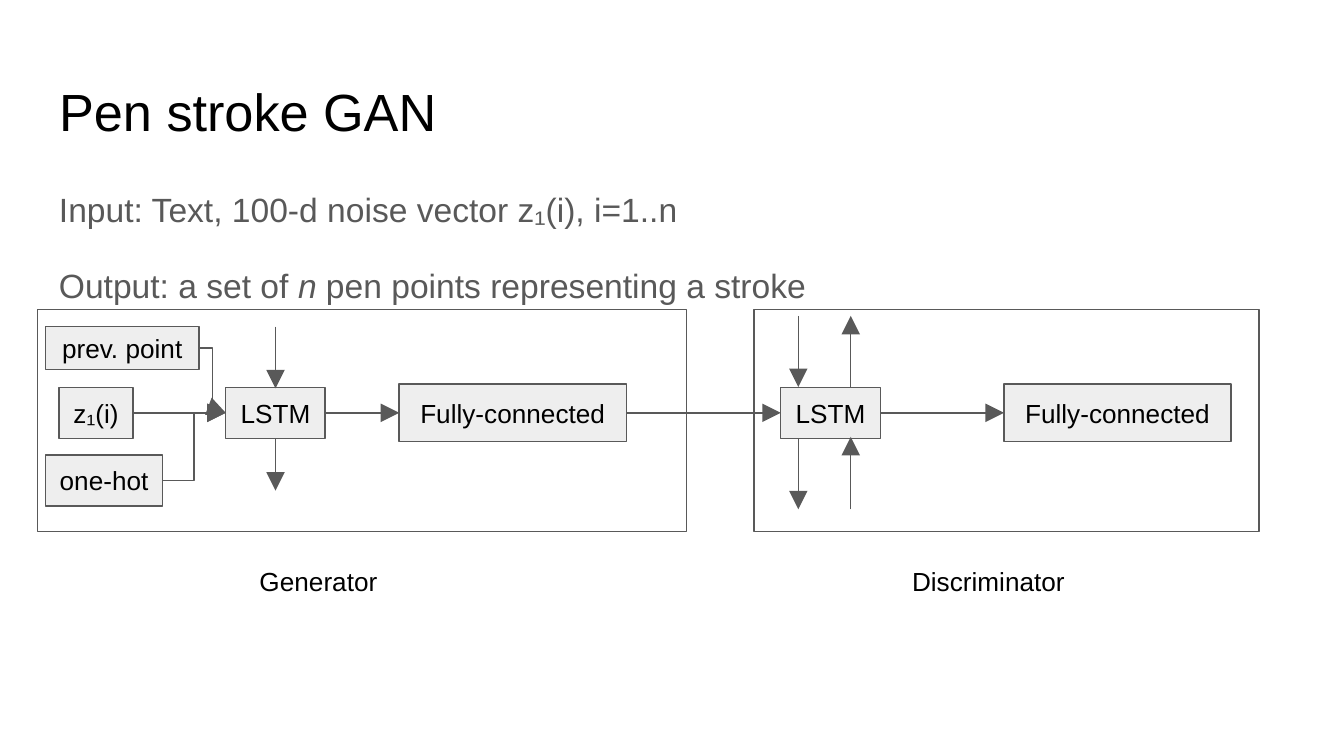
import pptx
import pptx.dml.color
import pptx.enum.shapes
import pptx.enum.text
import pptx.util
import lxml.etree
import pptx.oxml.ns

presentation = pptx.Presentation()
presentation.slide_width = pptx.util.Inches(10)
presentation.slide_height = presentation.slide_width * 9 // 16
cell = presentation.slide_width / 100
slide = presentation.slides.add_slide(presentation.slide_layouts[5])


def cells(*counts):
    return [round(count * cell) for count in counts]


def set_text(shape, lines, size, color, align, anchor):
    frame = shape.text_frame
    frame.word_wrap = True
    frame.auto_size = pptx.enum.text.MSO_AUTO_SIZE.NONE
    frame.vertical_anchor = anchor
    frame.margin_left = frame.margin_right = frame.margin_top = frame.margin_bottom = round(cell)
    frame.text = "\n".join(lines)
    for paragraph in frame.paragraphs:
        paragraph.alignment = align
        paragraph.font.name = "Arial"
        paragraph.font.size = pptx.util.Pt(size)
        paragraph.font.color.rgb = pptx.dml.color.RGBColor.from_string(color)


black, gray, light = "000000", "595959", "EEEEEE"
left, center = pptx.enum.text.PP_ALIGN.LEFT, pptx.enum.text.PP_ALIGN.CENTER
top, middle = pptx.enum.text.MSO_ANCHOR.TOP, pptx.enum.text.MSO_ANCHOR.MIDDLE

title = slide.shapes.title
title.left, title.top, title.width, title.height = cells(3.4, 4.9, 93.2, 6.3)
set_text(title, ["Pen stroke GAN"], 28, black, left, top)

body = slide.shapes.add_textbox(*cells(3.4, 12.6, 93.2, 10.5))
set_text(body, ["Input: Text, 100-d noise vector z₁(i), i=1..n", "Output: a set of "], 18, gray, left, top)
output = body.text_frame.paragraphs[1]
variable = output.add_run()
variable.text = "n"
variable.font.italic = True
output.add_run().text = " pen points representing a stroke"
for paragraph in body.text_frame.paragraphs:
    paragraph.line_spacing = 1.15
    paragraph.space_after = pptx.util.Pt(16)

axis = 30.72
boxes = [
    ("", 2.8, 31.3, 48.3, 16.5),
    ("", 56.1, 31.3, 37.6, 16.5),
    ("prev. point", 3.4, 25.9, 11.4, 3.2),
    ("z₁(i)", 4.4, axis, 5.5, 3.8),
    ("one-hot", 3.4, 35.75, 8.7, 3.8),
    ("LSTM", 16.8, axis, 7.4, 3.8),
    ("Fully-connected", 29.7, axis, 16.9, 4.3),
    ("LSTM", 58.1, axis, 7.4, 3.8),
    ("Fully-connected", 74.7, axis, 16.9, 4.3),
]
for label, x, y, width, height in boxes:
    box = slide.shapes.add_shape(
        pptx.enum.shapes.MSO_SHAPE.RECTANGLE, *cells(x, y - height / 2, width, height))
    box.shadow.inherit = False
    box.line.color.rgb = pptx.dml.color.RGBColor.from_string(gray)
    box.line.width = pptx.util.Pt(0.75)
    if label:
        box.fill.solid()
        box.fill.fore_color.rgb = pptx.dml.color.RGBColor.from_string(light)
        set_text(box, [label], 14, black, center, middle)
    else:
        box.fill.background()

for label, x, width in [("Generator", 18, 11.4), ("Discriminator", 66, 15.1)]:
    caption = slide.shapes.add_textbox(*cells(x, 41.1, width, 4.3))
    set_text(caption, [label], 14, black, center, top)

elbow = pptx.enum.shapes.MSO_CONNECTOR.ELBOW
straight = pptx.enum.shapes.MSO_CONNECTOR.STRAIGHT
arrows = [
    (elbow, 14.8, 25.9, 16.8, axis),
    (elbow, 9.9, axis, 16.8, axis),
    (elbow, 12.1, 35.75, 16.8, axis),
    (elbow, 24.2, axis, 29.7, axis),
    (elbow, 46.6, axis, 58.1, axis),
    (elbow, 65.5, axis, 74.7, axis),
    (straight, 20.5, 24.3, 20.5, 28.9),
    (straight, 20.5, 32.6, 20.5, 36.5),
    (straight, 59.4, 23.5, 59.4, 28.8),
    (straight, 59.4, 32.7, 59.4, 37.9),
    (straight, 63.3, 28.8, 63.3, 23.5),
    (straight, 63.3, 37.9, 63.3, 32.5),
]
for kind, *ends in arrows:
    arrow = slide.shapes.add_connector(kind, *cells(*ends))
    arrow.line.color.rgb = pptx.dml.color.RGBColor.from_string(gray)
    arrow.line.width = pptx.util.Pt(0.75)
    lxml.etree.SubElement(
        arrow.line._get_or_add_ln(), pptx.oxml.ns.qn("a:tailEnd"), type="triangle", w="lg", len="lg")
    lxml.etree.SubElement(arrow._element.spPr, pptx.oxml.ns.qn("a:effectLst"))

presentation.save("out.pptx")
